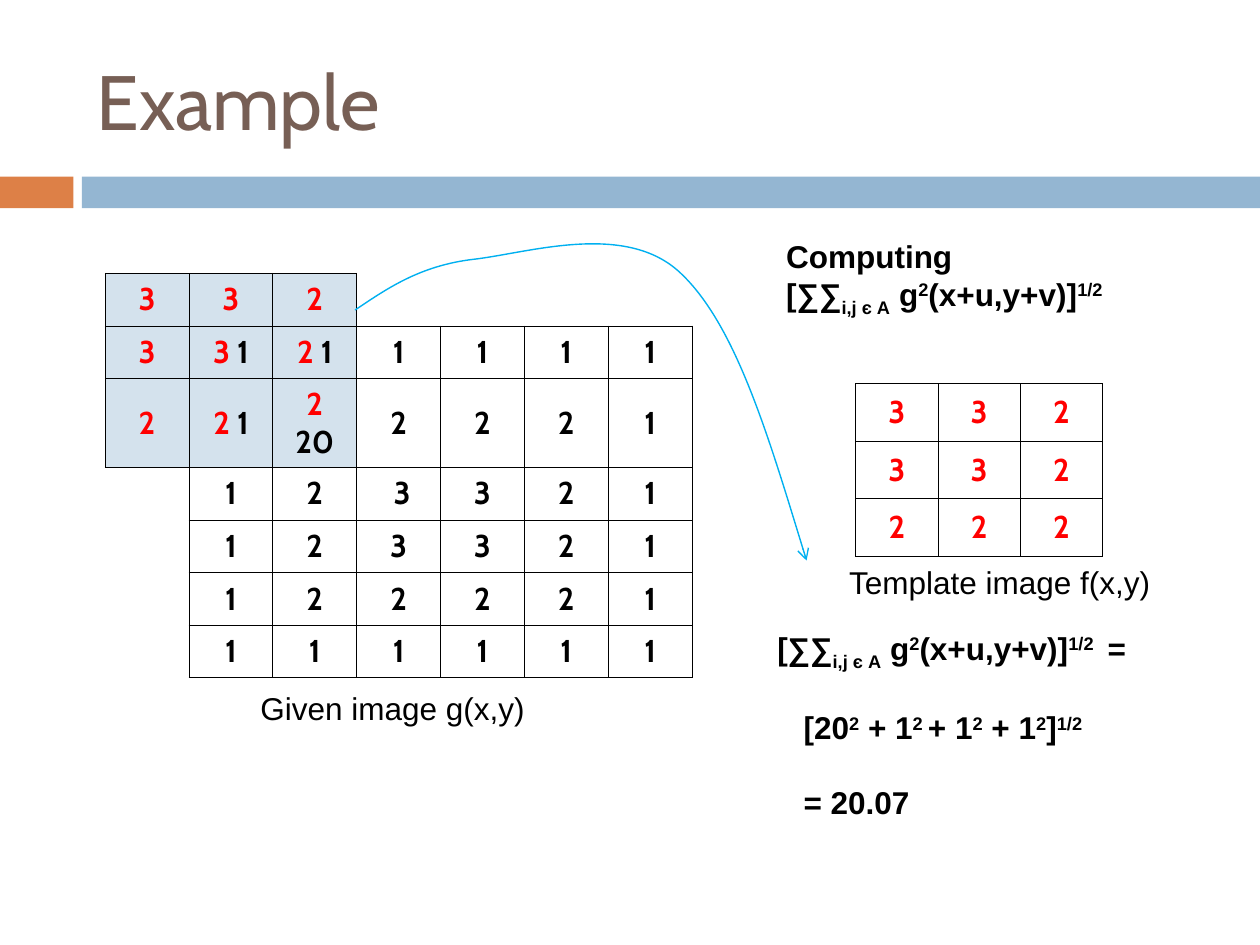
from lxml.etree import SubElement
from pptx import Presentation
from pptx.dml.color import RGBColor
from pptx.enum.shapes import MSO_SHAPE
from pptx.enum.text import MSO_ANCHOR, PP_ALIGN
from pptx.oxml.ns import qn
from pptx.util import Cm, Pt

RED, BLACK, WHITE, TINT = "FF0000", "000000", "FFFFFF", "D4E2ED"
BASE = {"_": "-25000", "^": "30000"}
SIDES = {"lnL": (0, -1), "lnR": (0, 1), "lnT": (-1, 0), "lnB": (1, 0)}
NORM = ["[∑∑", "_i,j є A", " g", "^2", "(x+u,y+v)]"]
GIVEN = [
    ["3/", "3/", "2/", "", "", "", ""],
    ["3/", "3 /1", "2 /1", "1", "1", "1", "1"],
    ["2/", "2 /1", "2 /20", "2", "2", "2", "1"],
    ["", "1", "2", " 3", "3", "2", "1"],
    ["", "1", "2", "3", "3", "2", "1"],
    ["", "1", "2", "2", "2", "2", "1"],
    ["", "1", "1", "1", "1", "1", "1"],
]
MASK = [["3/", "3/", "2/"], ["3/", "3/", "2/"], ["2/", "2/", "2/"]]
CURVE = [(7.16, 6.25), (7.8, 5.82), (8.46, 5.36), (9.53, 5.23), (10.62, 5.11),
         (12.55, 4.47), (13.67, 5.46), (14.81, 6.48), (15.52, 8.89), (16.26, 11.3)]


def tone(code):
    return RGBColor.from_string(code)


class Deck:
    """Hold the text style and the slide being built."""

    def __init__(self, slide, face="Arial", size=18):
        self.slide, self.face, self.size = slide, face, size

    def style(self, run, color=BLACK, bold=False, face=None, size=None):
        font = run.font
        font.name, font.size = face or self.face, Pt(size or self.size)
        font.bold, font.color.rgb = bold, tone(color)

    def bar(self, left, width, color):
        shape = self.slide.shapes.add_shape(
            MSO_SHAPE.RECTANGLE, Cm(left), Cm(3.56), Cm(width), Cm(0.64))
        shape.shadow.inherit = False
        shape.fill.solid()
        shape.fill.fore_color.rgb = tone(color)
        shape.line.fill.background()

    def text(self, box, lines, gap=0, dent=0, wrap=False, **look):
        frame = self.slide.shapes.add_textbox(*map(Cm, box)).text_frame
        frame.word_wrap = wrap
        for row, parts in enumerate(lines):
            para = frame.add_paragraph() if row else frame.paragraphs[0]
            if row:
                para.space_before = Pt(gap)
                para._p.get_or_add_pPr().set("marL", str(Cm(dent)))
            for part in parts:
                run = para.add_run()
                run.text = part.lstrip("_^")
                self.style(run, **look)
                if part[0] in BASE:
                    run._r.get_or_add_rPr().set("baseline", BASE[part[0]])
        return frame

    def edge(self, cell, side, drawn):
        line = SubElement(cell._tc.get_or_add_tcPr(), qn("a:" + side), w=str(Pt(0.45)))
        if drawn:
            fill = SubElement(line, qn("a:solidFill"))
            SubElement(fill, qn("a:srgbClr"), val=BLACK)
        else:
            SubElement(line, qn("a:noFill"))

    def cell(self, cell, text, tint):
        cell.vertical_anchor = MSO_ANCHOR.MIDDLE
        cell.fill.solid()
        cell.fill.fore_color.rgb = tone(tint)
        para = cell.text_frame.paragraphs[0]
        para.alignment = PP_ALIGN.CENTER
        red, _, black = text.rpartition("/")
        for part, color in ((red, RED), (black, BLACK)):
            if part:
                run = para.add_run()
                run.text = part
                self.style(run, color, True, "Cabin")

    def grid(self, left, top, wide, highs, data, tint=WHITE, spans=()):
        rows, cols = len(data), len(data[0])
        table = self.slide.shapes.add_table(
            rows, cols, Cm(left), Cm(top), Cm(wide * cols), Cm(sum(highs))).table
        table.first_row = table.horz_banding = False
        for col in table.columns:
            col.width = Cm(wide)
        for row, high in zip(table.rows, highs):
            row.height = Cm(high)
        for start, end in spans:
            table.cell(*start).merge(table.cell(*end))
        for r, line in enumerate(data):
            for c, text in enumerate(line):
                cell = table.cell(r, c)
                for side, (down, right) in SIDES.items():
                    y, x = r + down, c + right
                    near = 0 <= y < rows and 0 <= x < cols and data[y][x]
                    self.edge(cell, side, text or near)
                self.cell(cell, text, tint if "/" in text else WHITE)

    def curve(self, points, color):
        spots = [(Cm(x), Cm(y)) for x, y in points]
        pen = self.slide.shapes.build_freeform(*spots[0], scale=1.0)
        pen.add_line_segments(spots[1:], close=False)
        shape = pen.convert_to_shape()
        shape.shadow.inherit = False
        shape.fill.background()
        shape.line.color.rgb = tone(color)
        shape.line.width = Pt(0.79)
        steps = list(shape._element.iter(qn("a:lnTo")))
        for i in range(0, len(steps), 3):
            bend = SubElement(steps[i].getparent(), qn("a:cubicBezTo"))
            for step in steps[i:i + 3]:
                bend.append(step[0])
                step.getparent().remove(step)
        SubElement(shape.line._get_or_add_ln(), qn("a:tailEnd"), type="arrow")


def main():
    show = Presentation()
    show.slide_width, show.slide_height = Cm(25.4), Cm(19.05)
    deck = Deck(show.slides.add_slide(show.slide_layouts[6]))
    deck.bar(0, 1.48, "DD8047")
    deck.bar(1.65, 23.75, "94B6D2")
    title = deck.text((1.7, 0.64, 22.66, 2.74), [["Example"]], wrap=True,
                      color="775F55", face="Cabin", size=44)
    title.vertical_anchor = MSO_ANCHOR.MIDDLE
    deck.grid(2.12, 5.51, 1.69, [1.06] * 2 + [1.79] + [1.06] * 4, GIVEN, TINT,
              [((0, 3), (0, 6)), ((3, 0), (6, 0))])
    deck.grid(17.25, 7.73, 1.66, [1.16] * 3, MASK)
    deck.curve(CURVE, "00B0F0")
    deck.text((15.42, 12.55, 7.8, 4.17), [
        NORM + ["^1/2 ", " ="],
        ["[20", "^2", " + 1", "^2 ", "+ 1", "^2", " + 1", "^2", "]", "^1/2"],
        ["= 20.07"],
    ], gap=21, dent=0.53, bold=True)
    deck.text((5, 13.77, 5.84, 1.02), [["Given image g(x,y)"]])
    deck.text((16.87, 11.23, 6.63, 1.02), [["Template image f(x,y)"]])
    deck.text((15.6, 4.65, 6.88, 1.88), [["Computing"], NORM + ["^1/2"]], bold=True)
    show.save("out.pptx")


if __name__ == "__main__":
    main()
